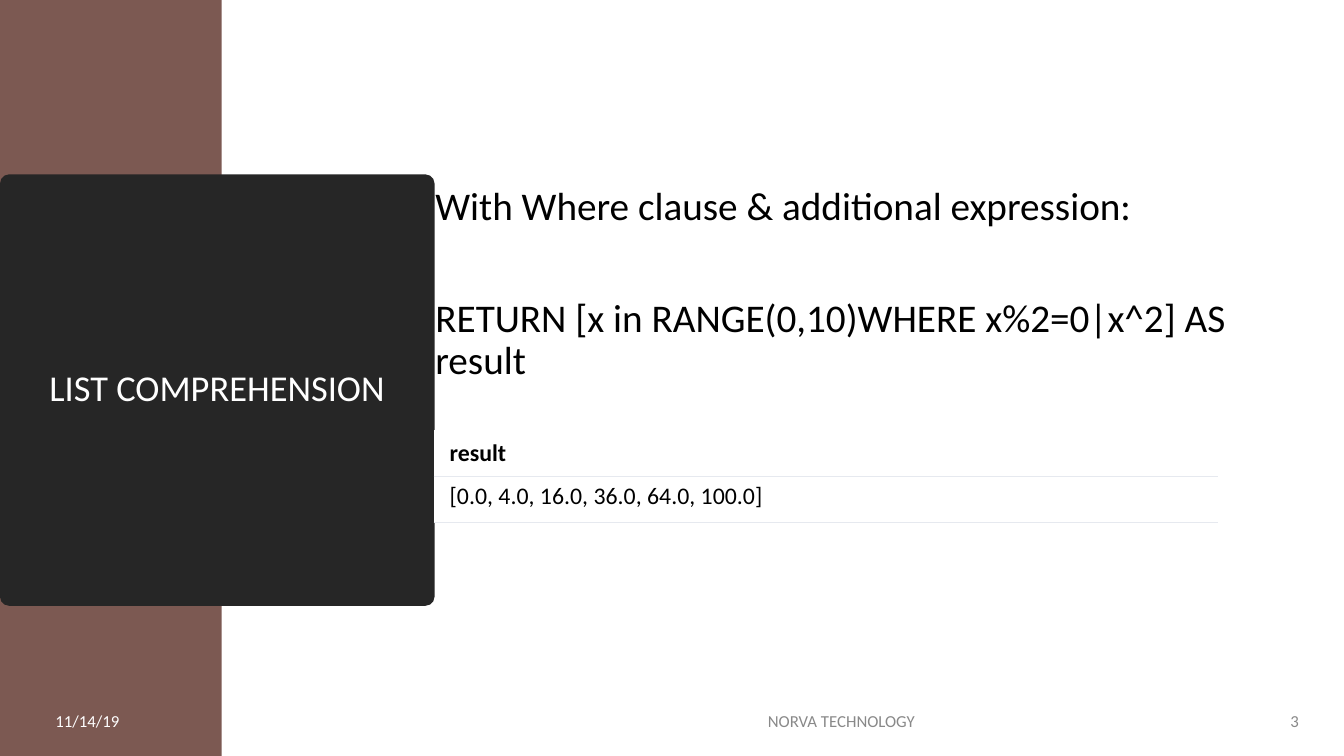
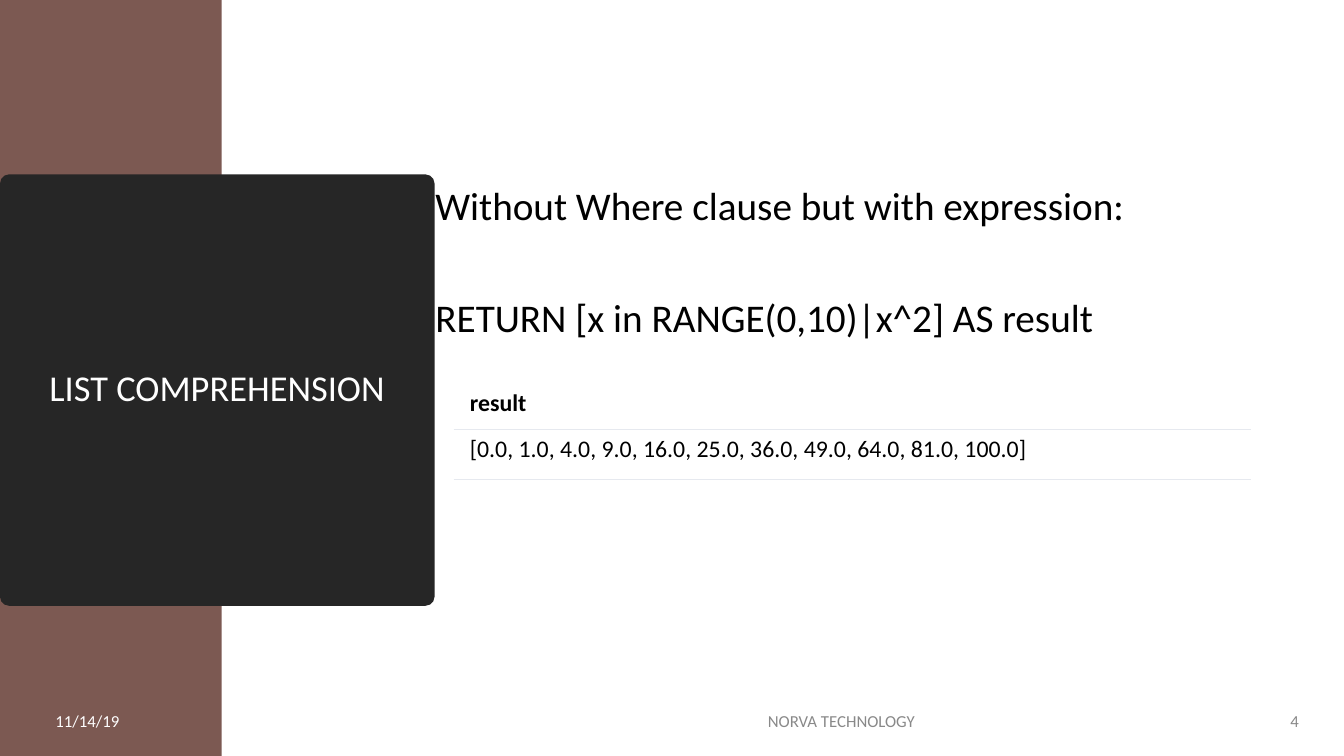
from pptx import Presentation
from pptx.dml.color import RGBColor
from pptx.enum.shapes import MSO_SHAPE
from pptx.enum.text import MSO_ANCHOR as Anchor, PP_ALIGN as Align
from pptx.oxml import parse_xml
from pptx.oxml.ns import nsdecls
from pptx.util import Inches, Pt

# Content
TITLE = "LIST COMPREHENSION"
DATE = "11/14/19"
COMPANY = "NORVA TECHNOLOGY"
SLIDES = [
    {
        "number": "3",
        "body": ["With Where clause & additional expression:",
                 "RETURN [x in RANGE(0,10)WHERE x%2=0|x^2] AS result"],
        "result": ["result", "[0.0, 4.0, 16.0, 36.0, 64.0, 100.0]"],
        "result_at": (4.3, 4.27, 7.78),
        "row_heights": (0.46, 0.45),
    },
    {
        "number": "4",
        "body": ["Without Where clause but with expression:",
                 "RETURN [x in RANGE(0,10)|x^2] AS result"],
        "result": ["result", "[0.0, 1.0, 4.0, 9.0, 16.0, 25.0, 36.0, 49.0, 64.0, 81.0, 100.0]"],
        "result_at": (4.5, 3.75, 7.91),
        "row_heights": (0.51, 0.5),
    },
]

# Theme
THEME = {
    "font": "Calibri",
    "band": "7C5952", "panel": "262626", "rule": "E6E9EF",
    "light": "FFFFFF", "dark": "000000", "muted": "898989",
    "title": 26, "body": 28, "table": 17, "footer": 12,
}

# Shared geometry, in inches
WIDTH, HEIGHT = 13.33, 7.5
BAND = (0, 0, 2.2, HEIGHT)
PANEL = (0, 1.73, 4.31, 4.28)
PANEL_RADIUS = 0.09
BODY = (4.22, 1.8, 8.76, 3.9)
FOOTER_TOP, FOOTER_HEIGHT = 6.95, 0.4
BODY_GAP = 50
CELL_MARGINS = {"margin_left": 0.16, "margin_right": 0.16,
                "margin_top": 0.05, "margin_bottom": 0.05}


def write(paragraph, text, size, color, bold=False, **layout):
    run = paragraph.add_run()
    run.text = text
    formats = {"name": THEME["font"], "size": Pt(THEME[size]), "bold": bold}
    for key, value in formats.items():
        setattr(run.font, key, value)
    run.font.color.rgb = RGBColor.from_string(THEME[color])
    for key, value in layout.items():
        setattr(paragraph, key, value)


def paint(target, color):
    target.fill.solid()
    target.fill.fore_color.rgb = RGBColor.from_string(THEME[color])


def add_block(slide, preset, box, color):
    block = slide.shapes.add_shape(preset, *map(Inches, box))
    block.shadow.inherit = False
    block.line.fill.background()
    paint(block, color)
    return block


def add_text_frame(slide, box, anchor):
    frame = slide.shapes.add_textbox(*map(Inches, box)).text_frame
    frame.word_wrap = True
    frame.vertical_anchor = anchor
    return frame


def add_frame(slide, number):
    # Side band and title panel
    add_block(slide, MSO_SHAPE.RECTANGLE, BAND, "band")
    panel = add_block(slide, MSO_SHAPE.ROUNDED_RECTANGLE, PANEL, "panel")
    panel.adjustments[0] = PANEL_RADIUS / min(PANEL[2:])
    panel.text_frame.word_wrap = True
    panel.text_frame.vertical_anchor = Anchor.MIDDLE
    write(panel.text_frame.paragraphs[0], TITLE, "title", "light",
          alignment=Align.CENTER, line_spacing=0.9)

    # Footer
    footer = [
        (DATE, 0.45, 1.62, "light", Align.LEFT),
        (COMPANY, 4.5, 7.69, "muted", Align.CENTER),
        (number, 12.37, 0.61, "muted", Align.RIGHT),
    ]
    for text, left, width, color, align in footer:
        box = (left, FOOTER_TOP, width, FOOTER_HEIGHT)
        frame = add_text_frame(slide, box, Anchor.MIDDLE)
        write(frame.paragraphs[0], text, "footer", color, alignment=align)


def add_body(slide, lines):
    frame = add_text_frame(slide, BODY, Anchor.TOP)
    for index, line in enumerate(lines):
        paragraph = frame.add_paragraph() if index else frame.paragraphs[0]
        write(paragraph, line, "body", "dark", line_spacing=0.9,
              space_before=Pt(BODY_GAP if index else 0))


def rule_cell(cell, ruled_sides):
    # Borders come before the fill in the cell properties
    properties = cell._tc.get_or_add_tcPr()
    for index, side in enumerate(("L", "R", "T", "B")):
        line = "<a:noFill/>"
        if side in ruled_sides:
            line = f'<a:solidFill><a:srgbClr val="{THEME["rule"]}"/></a:solidFill>'
        properties.insert(index, parse_xml(
            f'<a:ln{side} {nsdecls("a")} w="{Pt(0.75)}">{line}</a:ln{side}>'))


def add_result(slide, rows, at, heights):
    left, top, width = at
    table = slide.shapes.add_table(
        len(rows), 1, *map(Inches, (left, top, width, sum(heights)))).table
    table.first_row = table.horz_banding = False
    for index, (text, height) in enumerate(zip(rows, heights)):
        header = index == 0
        table.rows[index].height = Inches(height)
        cell = table.cell(index, 0)
        cell.vertical_anchor = Anchor.MIDDLE if header else Anchor.TOP
        for key, value in CELL_MARGINS.items():
            setattr(cell, key, Inches(value))
        paint(cell, "light")
        rule_cell(cell, "B" if header else "TB")
        write(cell.text_frame.paragraphs[0], text, "table", "dark", bold=header)


def main():
    deck = Presentation()
    deck.slide_width, deck.slide_height = Inches(WIDTH), Inches(HEIGHT)
    for content in SLIDES:
        slide = deck.slides.add_slide(deck.slide_layouts[6])
        add_frame(slide, content["number"])
        add_body(slide, content["body"])
        add_result(slide, content["result"], content["result_at"],
                   content["row_heights"])
    deck.save("out.pptx")


if __name__ == "__main__":
    main()
